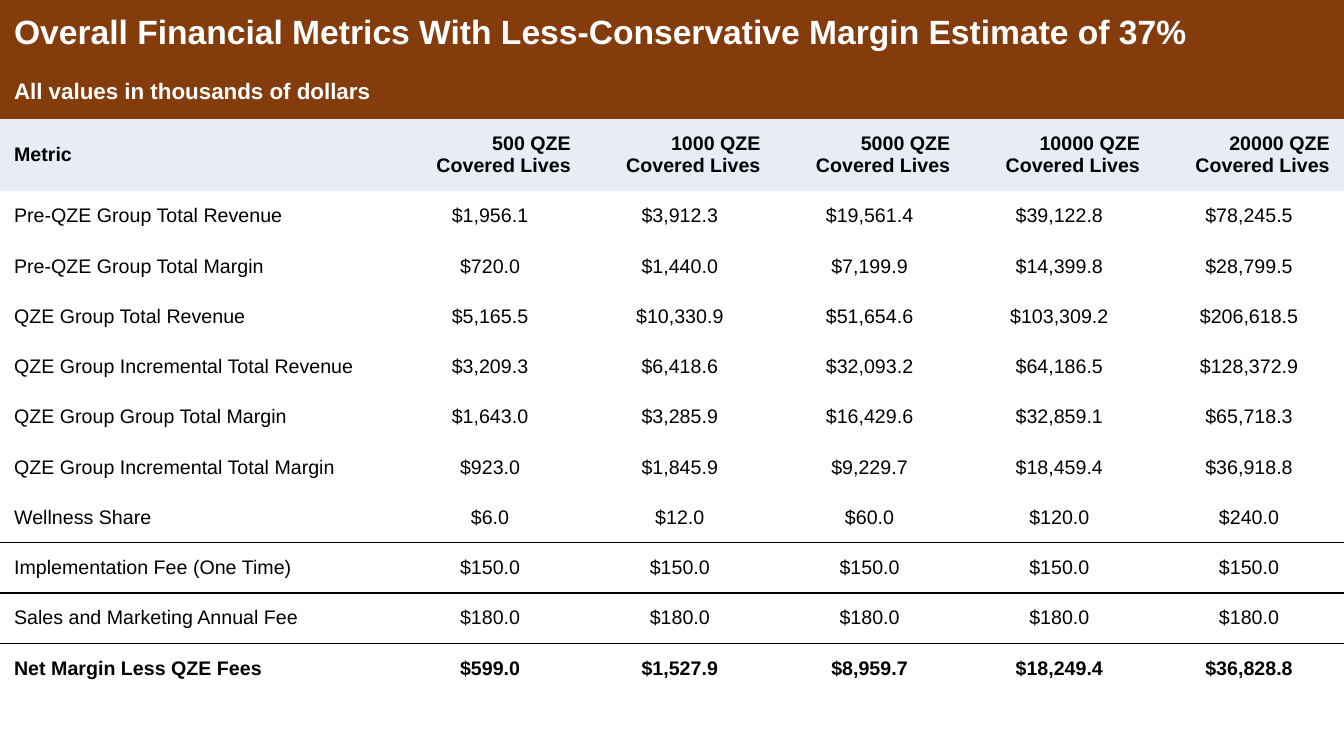
import lxml.etree
import pptx
import pptx.dml.color
import pptx.enum.text
import pptx.oxml.ns
import pptx.util

Inches = pptx.util.Inches
Align = pptx.enum.text.PP_ALIGN

COLORS = {"banner": "843C0C", "header": "E7ECF5", "white": "FFFFFF", "black": "000000"}
SLIDE_WIDTH, SLIDE_HEIGHT = 13.33, 7.5
METRIC_WIDTH = 3.92
PADDING = 0.14
PLAIN_TABLE_STYLE = "{2D5ABB26-0587-4C30-8999-92F81FD0307C}"

# Text, font size and row height
BANNERS = [
    ("Overall Financial Metrics With Less-Conservative Margin Estimate of 37%", 24, 0.64),
    ("All values in thousands of dollars", 16, 0.52),
]
COVERED_LIVES = [500, 1000, 5000, 10000, 20000]
HEADER_HEIGHT, METRIC_HEIGHT = 0.71, 0.49
METRICS = [
    ("Pre-QZE Group Total Revenue", [1956.1, 3912.3, 19561.4, 39122.8, 78245.5]),
    ("Pre-QZE Group Total Margin", [720.0, 1440.0, 7199.9, 14399.8, 28799.5]),
    ("QZE Group Total Revenue", [5165.5, 10330.9, 51654.6, 103309.2, 206618.5]),
    ("QZE Group Incremental Total Revenue", [3209.3, 6418.6, 32093.2, 64186.5, 128372.9]),
    ("QZE Group Group Total Margin", [1643.0, 3285.9, 16429.6, 32859.1, 65718.3]),
    ("QZE Group Incremental Total Margin", [923.0, 1845.9, 9229.7, 18459.4, 36918.8]),
    ("Wellness Share", [6.0, 12.0, 60.0, 120.0, 240.0]),
    ("Implementation Fee (One Time)", [150.0] * 5),
    ("Sales and Marketing Annual Fee", [180.0] * 5),
    ("Net Margin Less QZE Fees", [599.0, 1527.9, 8959.7, 18249.4, 36828.8]),
]
RULED_BELOW = {"Wellness Share", "Sales and Marketing Annual Fee"}
NET_METRIC = "Net Margin Less QZE Fees"


def rgb(name):
    return pptx.dml.color.RGBColor.from_string(COLORS[name])


def fill_cell(cell, text, size=14, bold=False, color="black", fill=None, align=Align.LEFT):
    cell.vertical_anchor = pptx.enum.text.MSO_ANCHOR.MIDDLE
    cell.margin_left = cell.margin_right = Inches(PADDING)
    cell.margin_top = cell.margin_bottom = Inches(PADDING)
    if fill:
        cell.fill.solid()
        cell.fill.fore_color.rgb = rgb(fill)
    else:
        cell.fill.background()
    paragraph = cell.text_frame.paragraphs[0]
    paragraph.alignment = align
    run = paragraph.add_run()
    run.text = text
    run.font.name = "Arial"
    run.font.size = pptx.util.Pt(size)
    run.font.bold = bold
    run.font.color.rgb = rgb(color)


def rule_cell(cell, edge):
    """Draw a thin black border on the top ("T") or bottom ("B") edge."""
    qn = pptx.oxml.ns.qn
    border = lxml.etree.Element(qn(f"a:ln{edge}"), w=str(pptx.util.Pt(1)))
    solid = lxml.etree.SubElement(border, qn("a:solidFill"))
    lxml.etree.SubElement(solid, qn("a:srgbClr"), val=COLORS["black"])
    # Borders must precede the fill inside the cell properties
    cell._tc.get_or_add_tcPr().insert(0, border)


def add_metrics_table(slide):
    heights = [height for _, _, height in BANNERS]
    heights += [HEADER_HEIGHT] + [METRIC_HEIGHT] * len(METRICS)
    frame = slide.shapes.add_table(
        len(heights), 1 + len(COVERED_LIVES), 0, 0, Inches(SLIDE_WIDTH), Inches(sum(heights))
    )
    table = frame.table
    table.first_row = table.horz_banding = False
    style = table._tbl.tblPr.find(pptx.oxml.ns.qn("a:tableStyleId"))
    style.text = PLAIN_TABLE_STYLE
    for row, height in zip(table.rows, heights):
        row.height = Inches(height)
    lives_width = (SLIDE_WIDTH - METRIC_WIDTH) / len(COVERED_LIVES)
    for index, column in enumerate(table.columns):
        column.width = Inches(lives_width if index else METRIC_WIDTH)
    return table


def fill_banners(table):
    last_column = len(COVERED_LIVES)
    for row, (text, size, _) in enumerate(BANNERS):
        banner = table.cell(row, 0)
        banner.merge(table.cell(row, last_column))
        fill_cell(banner, text, size, bold=True, color="white", fill="banner")


def fill_header(table, row):
    fill_cell(table.cell(row, 0), "Metric", bold=True, fill="header")
    for column, lives in enumerate(COVERED_LIVES, 1):
        fill_cell(table.cell(row, column), f"{lives} QZE Covered Lives",
                  bold=True, fill="header", align=Align.RIGHT)


def fill_metrics(table, first_row):
    ruled_above = False
    for row, (metric, values) in enumerate(METRICS, first_row):
        bold = metric == NET_METRIC
        ruled_below = metric in RULED_BELOW
        fill_cell(table.cell(row, 0), metric, bold=bold)
        for column, value in enumerate(values, 1):
            fill_cell(table.cell(row, column), f"${value:,.1f}", bold=bold, align=Align.CENTER)
        for cell in table.rows[row].cells:
            if ruled_above:
                rule_cell(cell, "T")
            if ruled_below:
                rule_cell(cell, "B")
        ruled_above = ruled_below


def main():
    deck = pptx.Presentation()
    deck.slide_width, deck.slide_height = Inches(SLIDE_WIDTH), Inches(SLIDE_HEIGHT)
    slide = deck.slides.add_slide(deck.slide_layouts[6])
    table = add_metrics_table(slide)
    header_row = len(BANNERS)
    fill_banners(table)
    fill_header(table, header_row)
    fill_metrics(table, header_row + 1)
    deck.save("out.pptx")


if __name__ == "__main__":
    main()
